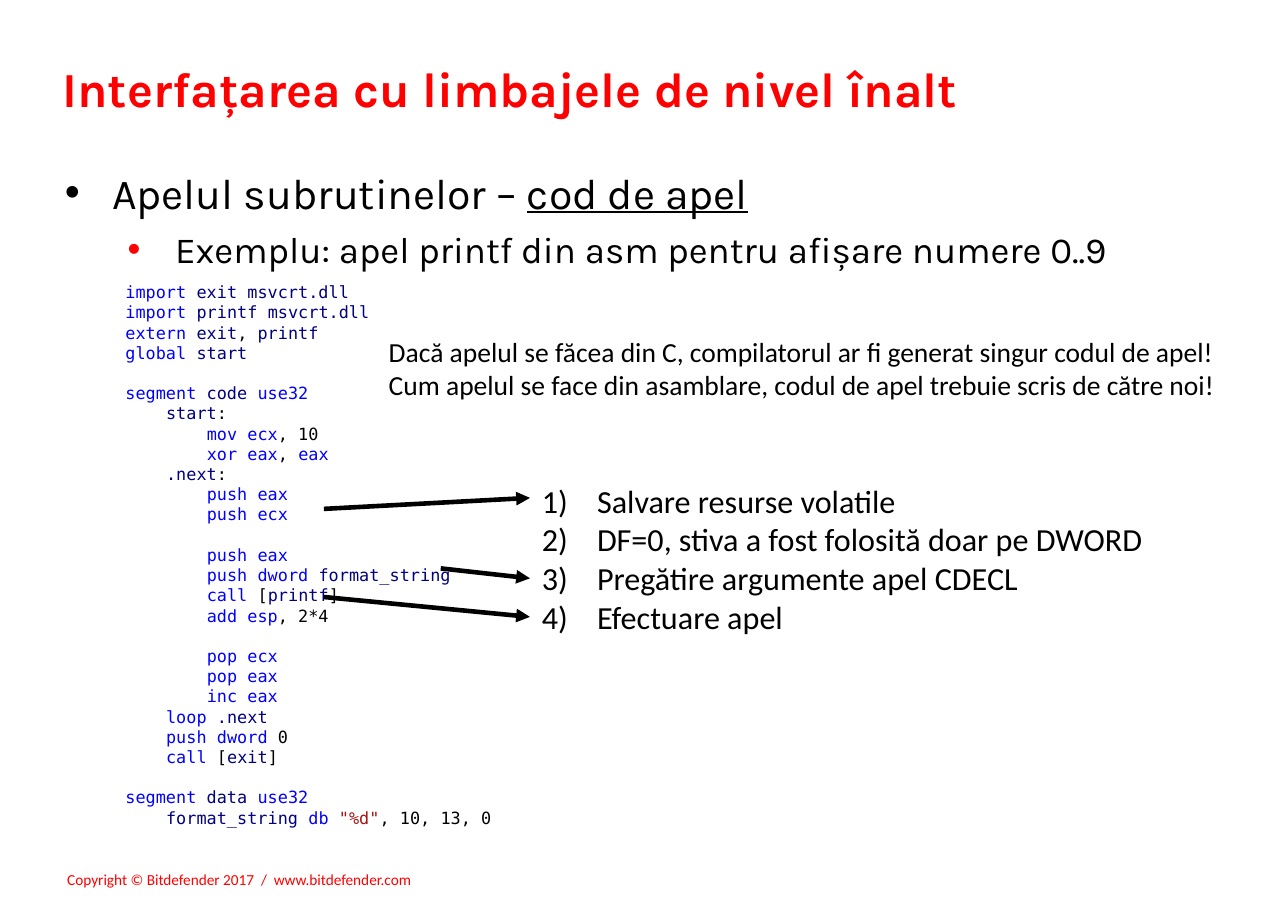
from itertools import groupby

from lxml import etree
from pptx import Presentation
from pptx.dml.color import RGBColor
from pptx.enum import shapes, text
from pptx.oxml import ns
from pptx.util import Inches, Pt

RED, BLACK, BLUE, NAVY, BROWN = "FF0000", "000000", "0000FF", "000080", "A31515"

TITLE = "Interfațarea cu limbajele de nivel înalt"
TOPIC = [("Apelul subrutinelor – ", {}), ("cod de apel", {"line": True})]
EXAMPLE = "Exemplu: apel printf din asm pentru afișare numere 0..9"
FOOTER = "Copyright © Bitdefender 2017  /  www.bitdefender.com"
NOTES = [
    "Dacă apelul se făcea din C, compilatorul ar fi generat singur codul de apel!",
    "Cum apelul se face din asamblare, codul de apel trebuie scris de către noi!",
]
STEPS = [
    "Salvare resurse volatile",
    "DF=0, stiva a fost folosită doar pe DWORD",
    "Pregătire argumente apel CDECL",
    "Efectuare apel",
]
CODE = """import exit msvcrt.dll
import printf msvcrt.dll
extern exit, printf
global start

segment code use32
    start:
        mov ecx, 10
        xor eax, eax
    .next:
        push eax
        push ecx

        push eax
        push dword format_string
        call [printf]
        add esp, 2*4

        pop ecx
        pop eax
        inc eax
    loop .next
    push dword 0
    call [exit]

segment data use32
    format_string db "%d", 10, 13, 0"""
KEYWORDS = set("import extern global segment use32 mov xor push call add pop inc "
               "loop dword db eax ecx esp".split())
ARROWS = [(2.94, 4.62, 4.52), (4, 5.16, 5.25), (2.94, 5.42, 5.6)]
ARROW_END = 4.81
CODE_LINE = 13.2


def rgb(color):
    return RGBColor.from_string(color)


def add_box(left, top, width, height, wrap=True, pad=(0.1, 0.05)):
    frame = slide.shapes.add_textbox(*map(Inches, (left, top, width, height))).text_frame
    frame.word_wrap = wrap
    frame.margin_left = frame.margin_right = Inches(pad[0])
    frame.margin_top = frame.margin_bottom = Inches(pad[1])
    return frame


def set_bullet(par, kind, left, hang, color=BLACK, **mark):
    props = par._p.get_or_add_pPr()
    props.set("marL", str(Inches(left)))
    props.set("indent", str(-Inches(hang)))
    tint = etree.SubElement(props, ns.qn("a:buClr"))
    etree.SubElement(tint, ns.qn("a:srgbClr"), val=color)
    if kind == "buChar":
        etree.SubElement(props, ns.qn("a:buFont"), typeface="Arial")
    etree.SubElement(props, ns.qn("a:" + kind), **mark)


def write(frame, runs, size, font="Calibri", color=BLACK, bold=False, before=0, bullet=None):
    """Add one paragraph; runs is a string or a list of (words, format) pairs."""
    par = frame.paragraphs[0]
    if par.runs:
        par = frame.add_paragraph()
    if before:
        par.space_before = Pt(before)
    if bullet:
        set_bullet(par, **bullet)
    for words, form in [(runs, {})] if isinstance(runs, str) else runs:
        run = par.add_run()
        run.text = words
        run.font.name, run.font.size, run.font.bold = font, Pt(size), bold
        run.font.underline = form.get("line", False)
        run.font.color.rgb = rgb(form.get("color", color))
    return par


def in_word(char):
    return char.isalnum() or char in '_.%"'


def paint(line):
    """Split a line of assembly into coloured runs."""
    runs = []
    for is_word, chars in groupby(line, in_word):
        word = "".join(chars)
        if not is_word or word.isdigit():
            color = BLACK
        elif word in KEYWORDS:
            color = BLUE
        else:
            color = BROWN if word.startswith('"') else NAVY
        runs.append((word, {"color": color}))
    return runs


def add_arrow(x, y, end_y):
    arrow = slide.shapes.add_connector(
        shapes.MSO_CONNECTOR.STRAIGHT, *map(Inches, (x, y, ARROW_END, end_y)))
    arrow.line.color.rgb = rgb(BLACK)
    arrow.line.width = Pt(3)
    etree.SubElement(arrow.line._get_or_add_ln(), ns.qn("a:tailEnd"), type="triangle")
    etree.SubElement(arrow._element.spPr, ns.qn("a:effectLst"))


deck = Presentation()
deck.slide_width, deck.slide_height = Inches(11.69), Inches(8.27)
slide = deck.slides.add_slide(deck.slide_layouts[6])

write(add_box(0.5, 7.84, 3.39, 0.28, wrap=False, pad=(0.11, 0.06)), FOOTER, 10, color=RED)
write(add_box(0.47, 0.48, 8.9, 0.79), TITLE, 32, font="Karla", color=RED, bold=True)

body = add_box(0.48, 1.45, 10.17, 1.09, pad=(0.11, 0.06))
dot = {"kind": "buChar", "char": "•", "hang": 0.43}
write(body, TOPIC, 28, font="Karla", bullet={**dot, "left": 0.43})
sub = write(body, EXAMPLE, 24, font="Karla", before=6, bullet={**dot, "left": 1, "color": RED})
sub.level = 1

listing = add_box(1.04, 2.51, 3.56, 5.06)
gap = 0
for line in CODE.splitlines():
    if line:
        par = write(listing, paint(line), 11, font="DejaVu Sans Mono", before=gap)
        par.alignment = text.PP_ALIGN.JUSTIFY
    gap = 0 if line else CODE_LINE

steps = add_box(4.82, 4.32, 5.68, 1.5, wrap=False)
for step in STEPS:
    write(steps, step, 21,
          bullet={"kind": "buAutoNum", "type": "arabicParenR", "left": 0.5, "hang": 0.5})

for arrow in ARROWS:
    add_arrow(*arrow)

notes = add_box(3.43, 2.99, 7.75, 0.7)
for note in NOTES:
    write(notes, note, 18)

deck.save("out.pptx")
